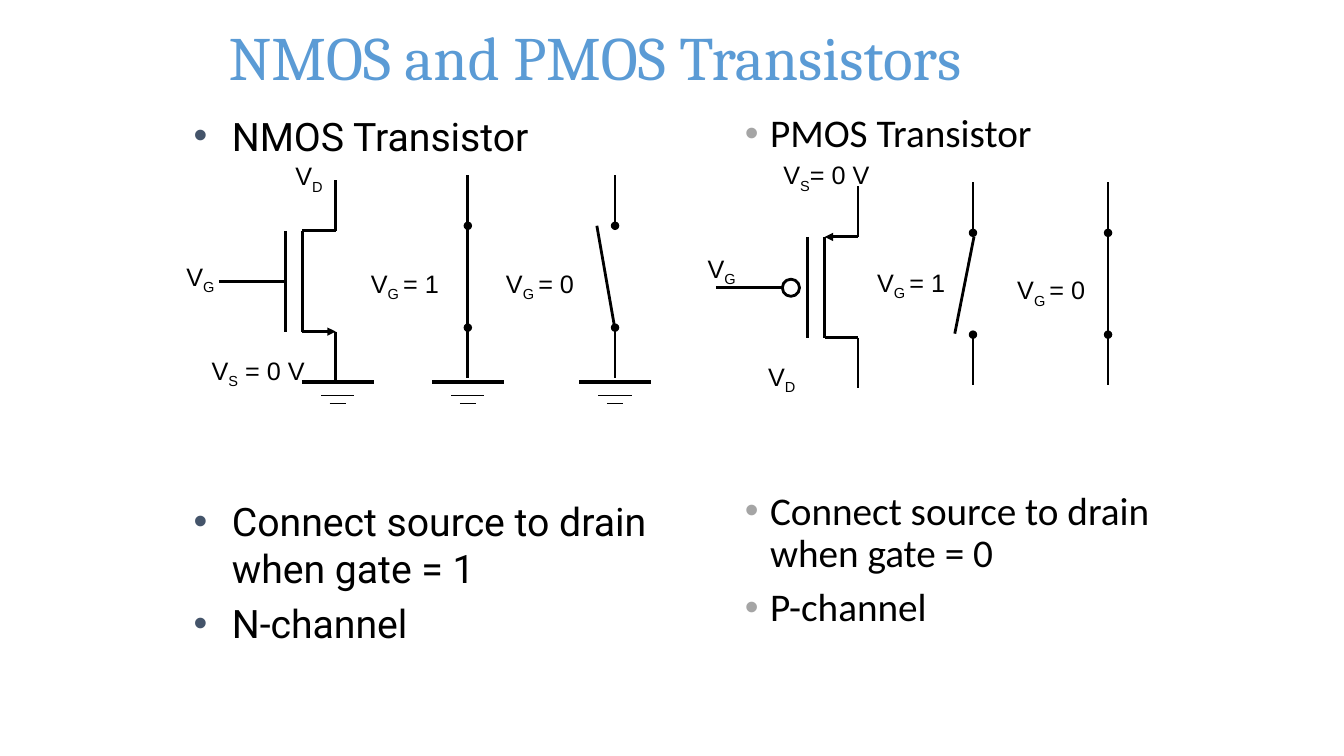
from dataclasses import dataclass

from lxml.etree import SubElement
from pptx import Presentation
from pptx.dml.color import RGBColor
from pptx.enum.shapes import MSO_CONNECTOR, MSO_SHAPE
from pptx.enum.text import MSO_ANCHOR, MSO_AUTO_SIZE
from pptx.oxml.ns import qn
from pptx.slide import Slide
from pptx.text.text import TextFrame
from pptx.util import Inches, Pt

BLACK = RGBColor(0x00, 0x00, 0x00)
TITLE_BLUE = RGBColor(0x5B, 0x9B, 0xD5)
SLATE = RGBColor(0x44, 0x54, 0x6A)
GRAY = RGBColor(0xA5, 0xA5, 0xA5)
WIRE_WIDTH = 2


@dataclass(frozen=True)
class BulletColumn:
    left: float
    top: float
    width: float
    height: float
    inset: float
    indent: float
    font: str
    bullet_color: RGBColor
    line_spacing: float
    items: tuple[tuple[str, float], ...]  # text, points of space before


@dataclass(frozen=True)
class Label:
    left: float
    top: float
    width: float
    subscript: str
    rest: str = ""


@dataclass(frozen=True)
class Transistor:
    gate_x: float
    top: float
    p_channel: bool


@dataclass(frozen=True)
class Switch:
    x: float
    top: float
    arm_start: tuple[float, float]  # both arm ends are relative to x and top
    arm_end: tuple[float, float]


COLUMNS = (
    BulletColumn(1.92, 1.11, 4.87, 6.06, 0, 0.38, "Roboto", SLATE, 1.0, (
        ("NMOS Transistor", 0),
        ("Connect source to drain when gate = 1", 242),
        ("N-channel", 5.6),
    )),
    BulletColumn(7.29, 1.08, 4.8, 5.98, 0.1, 0.25, "Calibri", GRAY, 0.9, (
        ("PMOS Transistor", 0),
        ("Connect source to drain when gate = 0", 239.5),
        ("P-channel", 8.4),
    )),
)
LABELS = (
    Label(2.83, 1.49, 0.49, "D"),
    Label(2, 3.42, 1.15, "S", " = 0 V"),
    Label(1.75, 2.49, 0.5, "G"),
    Label(3.58, 2.56, 0.91, "G ", "= 1"),
    Label(4.92, 2.56, 0.91, "G ", "= 0"),
    Label(6.92, 2.41, 0.5, "G"),
    Label(8.6, 2.55, 0.91, "G ", "= 1"),
    Label(9.99, 2.62, 0.91, "G ", "= 0"),
    Label(7.67, 1.48, 1.08, "S", "= 0 V"),
    Label(7.52, 3.48, 0.56, "D"),
)
TRANSISTORS = (Transistor(2.83, 1.79, False), Transistor(8.01, 1.85, True))
SWITCHES = (
    Switch(4.64, 1.74, (0, 0.53), (0, 1.53)),
    Switch(6.1, 1.74, (-0.18, 0.5), (0, 1.53)),
    Switch(9.65, 1.81, (0.01, 0.54), (-0.18, 1.5)),
    Switch(10.99, 1.81, (0, 0.54), (0, 1.54)),
)
GROUND_CENTERS = (3.35, 4.64, 6.1)
GROUND_BARS = ((3.79, 0.71, 2.5), (3.92, 0.33, 0.75), (4, 0.16, 0.75))  # y, length, points


def add_line(slide: Slide, x1: float, y1: float, x2: float, y2: float,
             width: float = WIRE_WIDTH, head: str = "", tail: str = "") -> None:
    """Draw a black line; head is the marker at its start, tail the one at its end."""
    line = slide.shapes.add_connector(
        MSO_CONNECTOR.STRAIGHT, Inches(x1), Inches(y1), Inches(x2), Inches(y2))
    line.line.color.rgb = BLACK
    line.line.width = Pt(width)
    properties = line._element.spPr
    outline = properties.find(qn("a:ln"))
    for tag, marker in (("a:headEnd", head), ("a:tailEnd", tail)):
        if marker:
            SubElement(outline, qn(tag), type=marker)
    SubElement(properties, qn("a:effectLst"))


def add_text_frame(slide: Slide, left: float, top: float, width: float, height: float) -> TextFrame:
    box = slide.shapes.add_textbox(Inches(left), Inches(top), Inches(width), Inches(height))
    box.text_frame.word_wrap = True
    return box.text_frame


def add_run(paragraph, text: str, font: str, size: float, color: RGBColor, baseline: int = 0) -> None:
    run = paragraph.add_run()
    run.text = text
    run.font.name = font
    run.font.size = Pt(size)
    run.font.color.rgb = color
    if baseline:
        run._r.get_or_add_rPr().set("baseline", str(baseline * 1000))


def add_title(slide: Slide) -> None:
    frame = add_text_frame(slide, 2.17, 0.12, 9.88, 0.87)
    frame.vertical_anchor = MSO_ANCHOR.MIDDLE
    add_run(frame.paragraphs[0], "NMOS and PMOS Transistors", "Cambria", 44, TITLE_BLUE)


def add_bullet_column(slide: Slide, column: BulletColumn) -> None:
    frame = add_text_frame(slide, column.left, column.top, column.width, column.height)
    frame.margin_left = frame.margin_right = Inches(column.inset)
    frame.margin_top = frame.margin_bottom = Inches(column.inset / 2)
    for index, (text, space_before) in enumerate(column.items):
        paragraph = frame.add_paragraph() if index else frame.paragraphs[0]
        paragraph.line_spacing = column.line_spacing
        paragraph.space_before = Pt(space_before)
        properties = paragraph._p.get_or_add_pPr()
        properties.set("marL", str(Inches(column.indent)))
        properties.set("indent", str(-Inches(column.indent)))
        bullet_color = SubElement(properties, qn("a:buClr"))
        SubElement(bullet_color, qn("a:srgbClr"), val=str(column.bullet_color))
        SubElement(properties, qn("a:buFont"), typeface="Arial")
        SubElement(properties, qn("a:buChar"), char="•")
        add_run(paragraph, text, column.font, 28, BLACK)


def add_voltage_label(slide: Slide, label: Label) -> None:
    frame = add_text_frame(slide, label.left, label.top, label.width, 0.45)
    frame.word_wrap = False
    frame.auto_size = MSO_AUTO_SIZE.SHAPE_TO_FIT_TEXT
    paragraph = frame.paragraphs[0]
    paragraph.line_spacing = 1.16
    for text, baseline in (("V", 0), (label.subscript, -25), (label.rest, 0)):
        if text:
            add_run(paragraph, text, "Arial", 18, BLACK, baseline)


def add_transistor(slide: Slide, transistor: Transistor) -> None:
    gate, top = transistor.gate_x, transistor.top
    channel, terminal = gate + 0.17, gate + 0.5
    upper, lower = top + 0.5, top + 1.5
    gate_end = gate - 0.25 if transistor.p_channel else gate
    add_line(slide, gate_end - 0.66, top + 1, gate_end, top + 1)
    add_line(slide, terminal, top, terminal, upper)
    add_line(slide, terminal, lower, terminal, top + 2)
    for bar_x in (gate, channel):
        add_line(slide, bar_x, upper, bar_x, lower)
    add_line(slide, channel, upper, terminal, upper,
             head="triangle" if transistor.p_channel else "")
    add_line(slide, channel, lower, terminal, lower,
             tail="" if transistor.p_channel else "triangle")
    if transistor.p_channel:
        bubble = slide.shapes.add_shape(
            MSO_SHAPE.OVAL, Inches(gate_end), Inches(top + 0.92), Inches(0.17), Inches(0.17))
        bubble.shadow.inherit = False
        bubble.fill.background()
        bubble.line.color.rgb = BLACK
        bubble.line.width = Pt(WIRE_WIDTH)


def add_switch(slide: Slide, switch: Switch) -> None:
    x, top = switch.x, switch.top
    add_line(slide, x, top, x, top + 0.5, tail="oval")
    add_line(slide, x, top + 1.51, x, top + 2.01, head="oval")
    (start_x, start_y), (end_x, end_y) = switch.arm_start, switch.arm_end
    add_line(slide, x + start_x, top + start_y, x + end_x, top + end_y)


def add_ground(slide: Slide, center: float) -> None:
    for y, length, width in GROUND_BARS:
        add_line(slide, center - length / 2, y, center + length / 2, y, width)


def main() -> None:
    presentation = Presentation()
    presentation.slide_width = Inches(13.33)
    presentation.slide_height = Inches(7.5)
    slide = presentation.slides.add_slide(presentation.slide_layouts[6])
    add_title(slide)
    for column in COLUMNS:
        add_bullet_column(slide, column)
    for transistor in TRANSISTORS:
        add_transistor(slide, transistor)
    for switch in SWITCHES:
        add_switch(slide, switch)
    for center in GROUND_CENTERS:
        add_ground(slide, center)
    for label in LABELS:
        add_voltage_label(slide, label)
    presentation.save("out.pptx")


if __name__ == "__main__":
    main()
